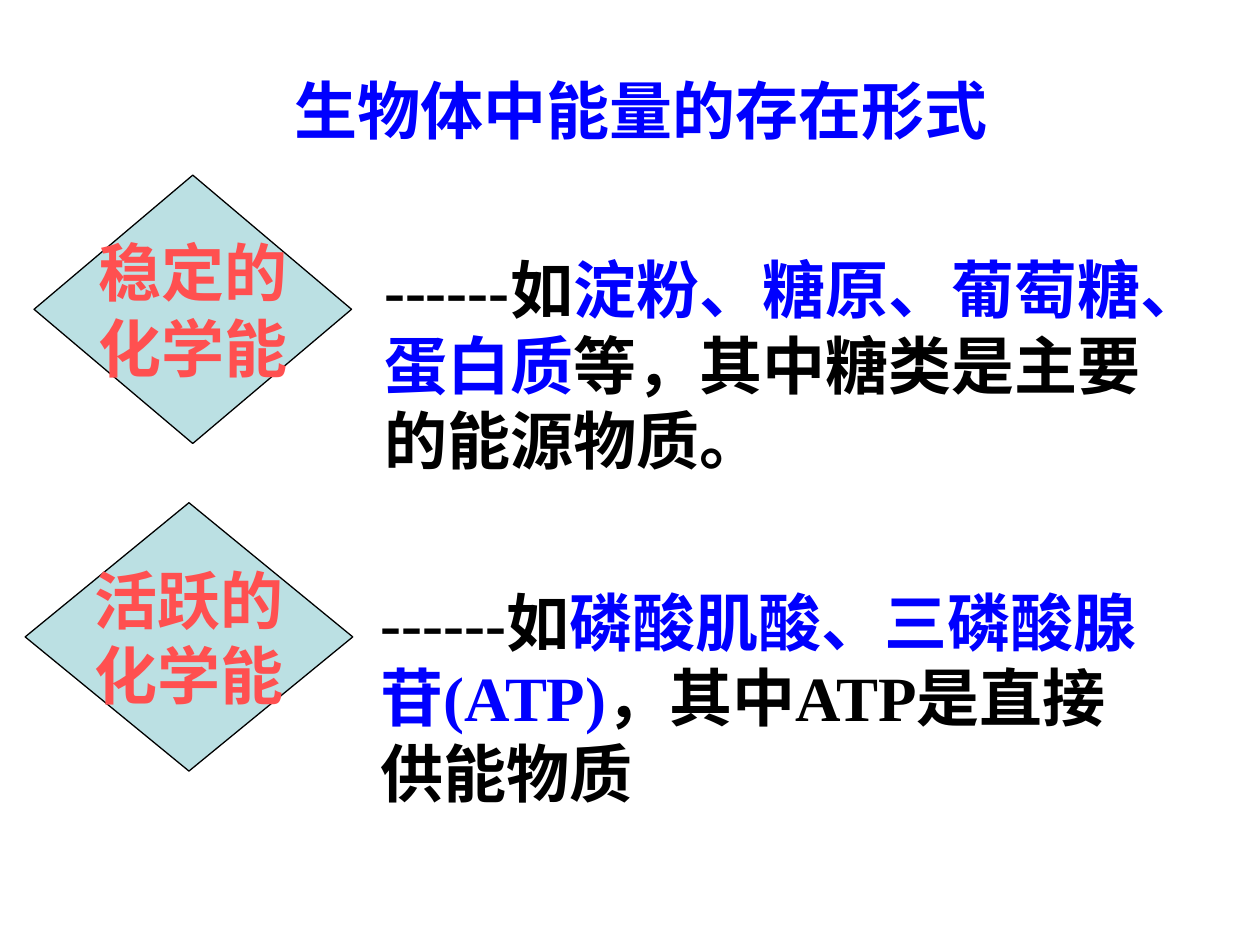
"""Build a slide on the forms of energy stored in living things."""
from pptx import Presentation
from pptx.dml.color import RGBColor
from pptx.enum.shapes import MSO_SHAPE
from pptx.enum.text import MSO_ANCHOR, MSO_AUTO_SIZE, PP_ALIGN
from pptx.util import Inches, Pt

BLUE, RED, BLACK, TEAL = "0000FF", "FF5050", "000000", "BBE0E3"

TITLE = [[("生物体中能量的存在形式", BLUE)]]
TITLE_BOX = (2.24, 0.52, 6, 0.7)
FORMS = [
    {
        "label": ["稳定的", "化学能"],
        "diamond": (0.27, 1.39, 2.52, 2.13),
        "detail": [("------如", BLACK), ("淀粉、糖原、葡萄糖、蛋白质", BLUE),
                   ("等，其中糖类是主要的能源物质。", BLACK)],
        "box": (2.95, 1.94, 6.58, 1.9),
    },
    {
        "label": ["活跃的", "化学能"],
        "diamond": (0.2, 3.99, 2.6, 2.13),
        "detail": [("------如", BLACK), ("磷酸肌酸、三磷酸腺苷(ATP)", BLUE),
                   ("，其中ATP是直接供能物质", BLACK)],
        "box": (2.92, 4.58, 6.26, 1.9),
    },
]


def rgb(value):
    """Turn a hex string into a colour."""
    return RGBColor.from_string(value)


def write(sp, paragraphs, size=36, font="Times New Roman", bold=True,
          align=PP_ALIGN.LEFT, anchor=MSO_ANCHOR.TOP, wrap=True,
          fit=MSO_AUTO_SIZE.SHAPE_TO_FIT_TEXT):
    """Fill a shape with paragraphs of (text, colour) runs."""
    tf = sp.text_frame
    tf.word_wrap, tf.auto_size, tf.vertical_anchor = wrap, fit, anchor
    for i, runs in enumerate(paragraphs):
        p = tf.add_paragraph() if i else tf.paragraphs[0]
        p.alignment = align
        for text, colour in runs:
            r = p.add_run()
            r.text = text
            r.font.size, r.font.name, r.font.bold = Pt(size), font, bold
            r.font.color.rgb = rgb(colour)


def add_text(s, box, paragraphs):
    """Add a wrapping text box."""
    write(s.shapes.add_textbox(*map(Inches, box)), paragraphs)


def add_diamond(s, box, lines):
    """Add a labelled diamond."""
    sp = s.shapes.add_shape(MSO_SHAPE.DIAMOND, *map(Inches, box))
    sp.shadow.inherit = False
    sp.fill.solid()
    sp.fill.fore_color.rgb = rgb(TEAL)
    sp.line.color.rgb = rgb(BLACK)
    sp.line.width = Pt(0.75)
    write(sp, [[(line, RED)] for line in lines], align=PP_ALIGN.CENTER,
          anchor=MSO_ANCHOR.MIDDLE, wrap=False, fit=MSO_AUTO_SIZE.NONE)


def main():
    """Build and save the slide."""
    prs = Presentation()
    prs.slide_width, prs.slide_height = Inches(10), Inches(7.5)
    s = prs.slides.add_slide(prs.slide_layouts[6])
    add_text(s, TITLE_BOX, TITLE)
    for form in FORMS:
        add_diamond(s, form["diamond"], form["label"])
    for form in FORMS:
        add_text(s, form["box"], [form["detail"]])
    prs.save("out.pptx")


if __name__ == "__main__":
    main()
